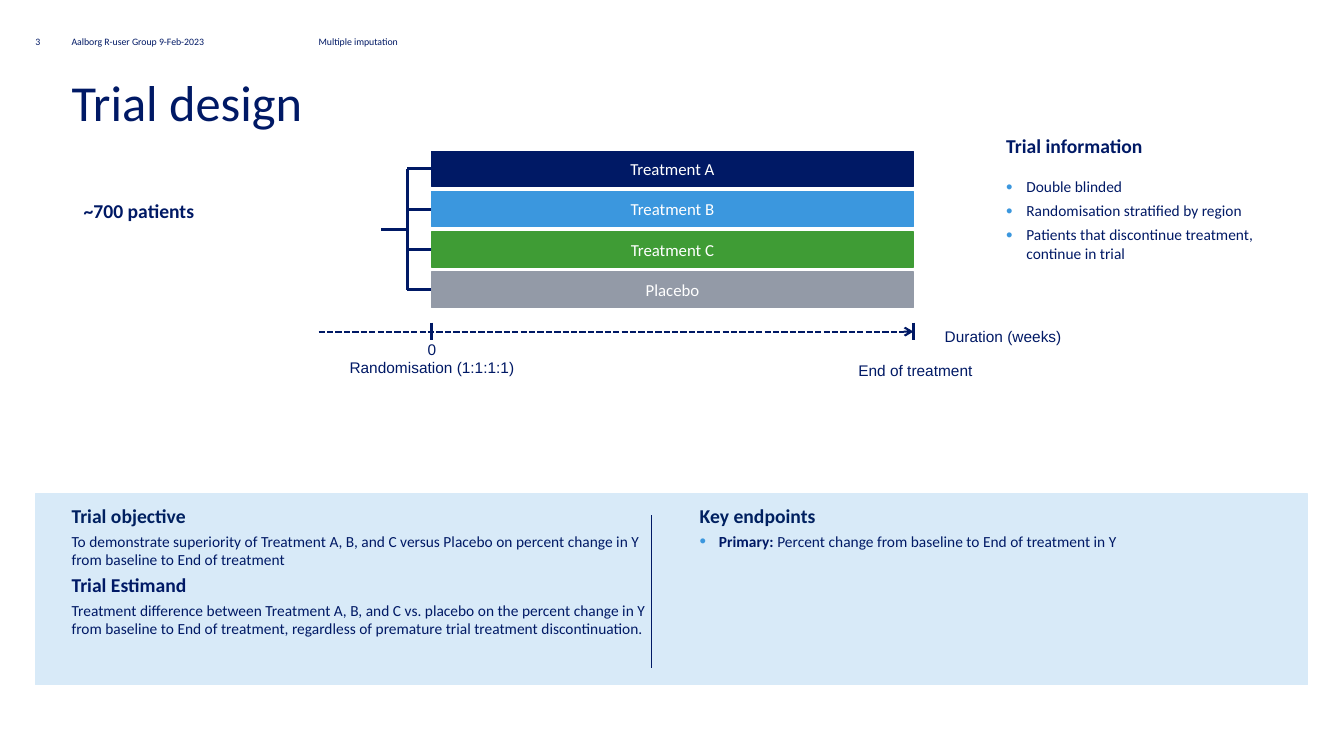
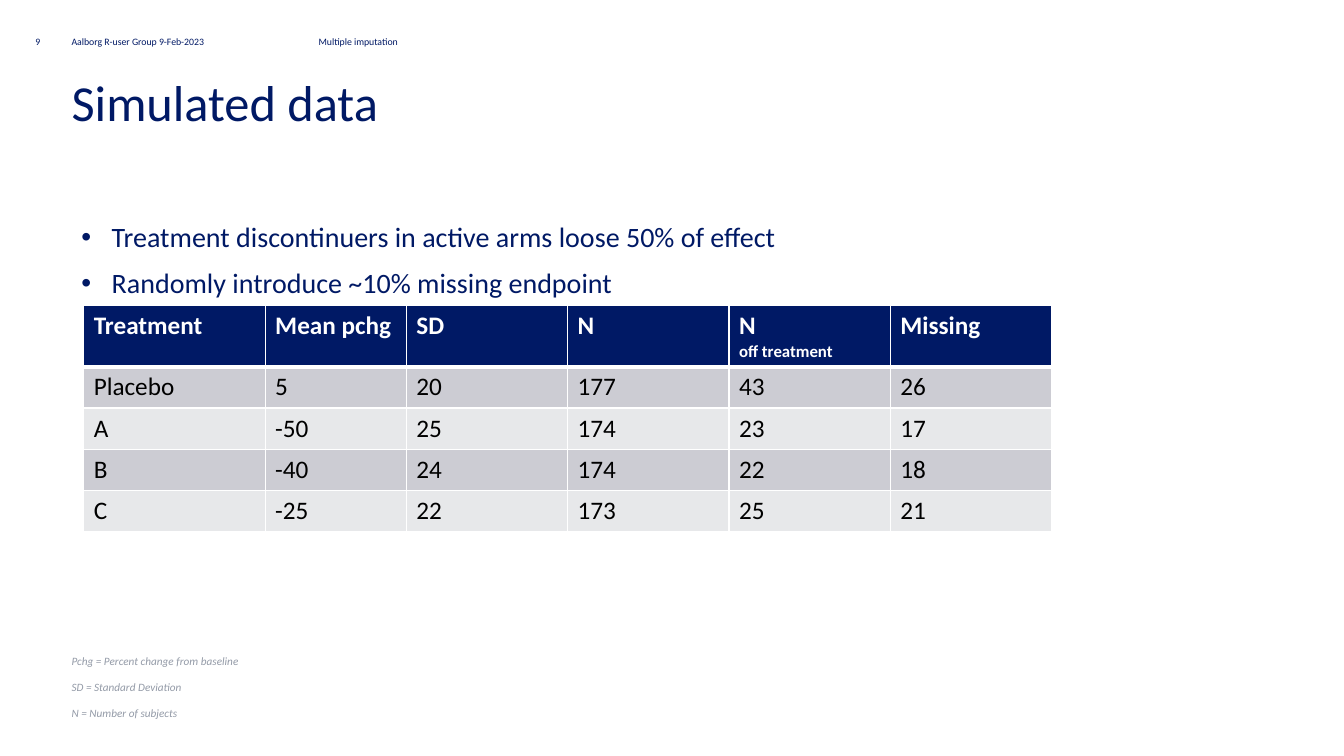
from dataclasses import dataclass

from pptx import Presentation
from pptx.dml.color import RGBColor
from pptx.enum.dml import MSO_LINE
from pptx.enum.shapes import MSO_CONNECTOR, MSO_SHAPE
from pptx.enum.text import MSO_ANCHOR, MSO_AUTO_SIZE, PP_ALIGN
from pptx.oxml.ns import qn
from pptx.util import Inches, Pt
from lxml import etree

LEFT, CENTER = PP_ALIGN.LEFT, PP_ALIGN.CENTER
TOP, MIDDLE, BOTTOM = MSO_ANCHOR.TOP, MSO_ANCHOR.MIDDLE, MSO_ANCHOR.BOTTOM
DASH = MSO_LINE.SQUARE_DOT
STRAIGHT = MSO_CONNECTOR.STRAIGHT
RECT = MSO_SHAPE.RECTANGLE
NO_FIT = MSO_AUTO_SIZE.NONE


@dataclass(frozen=True)
class Theme:
    """Colours, fonts and type sizes shared by the slides."""

    navy: str = "001965"
    heading: str = "002060"
    blue: str = "3B97DE"
    green: str = "3F9C35"
    grey: str = "939AA7"
    pale: str = "D8EAF8"
    white: str = "FFFFFF"
    black: str = "000000"
    band_dark: str = "CCCCD3"
    band_light: str = "E7E8EA"
    font: str = "Calibri"
    axis_font: str = "Arial"
    title: int = 36
    bullet: int = 20
    table: int = 18
    subhead: int = 14
    label: int = 12
    body: int = 11
    note: int = 8
    header: int = 7


T = Theme()


def rgb(color):
    """Turn a hex string into a colour."""
    return RGBColor.from_string(color)


def add_bullet(p, indent, color, percent):
    """Give a paragraph a hanging round bullet."""
    pPr = p._p.get_or_add_pPr()
    pPr.set("marL", str(Inches(indent)))
    pPr.set("indent", str(-Inches(indent)))
    clr = etree.SubElement(pPr, qn("a:buClr"))
    etree.SubElement(clr, qn("a:srgbClr"), val=color)
    etree.SubElement(pPr, qn("a:buSzPct"), val=str(percent * 1000))
    etree.SubElement(pPr, qn("a:buFont"), typeface="Arial")
    etree.SubElement(pPr, qn("a:buChar"), char="•")


def write(tf, text, *, size=T.body, color=T.navy, font=T.font, bold=False,
          italic=False, align=LEFT, before=0, after=0, spacing=None,
          indent=0, bullet_color=T.blue, bullet_size=120, lead=""):
    """Append one formatted paragraph, with an optional bold lead-in."""
    used = bool(tf.paragraphs[0].runs)
    p = tf.add_paragraph() if used else tf.paragraphs[0]
    if indent:
        add_bullet(p, indent, bullet_color, bullet_size)
    p.alignment = align
    p.space_before = Pt(before if used else 0)
    p.space_after = Pt(after)
    if spacing:
        p.line_spacing = spacing
    for part, is_bold in ((lead, True), (text, bold)):
        if part:
            r = p.add_run()
            r.text = part
            r.font.size, r.font.name = Pt(size), font
            r.font.bold, r.font.italic = is_bold, italic
            r.font.color.rgb = rgb(color)


def set_frame(tf, anchor=TOP, inset=(0, 0)):
    """Set wrapping, anchor and insets of a text frame."""
    tf.word_wrap, tf.auto_size, tf.vertical_anchor = True, NO_FIT, anchor
    tf.margin_left = tf.margin_right = Inches(inset[0])
    tf.margin_top = tf.margin_bottom = Inches(inset[1])


def add_text(s, box, text=None, anchor=TOP, inset=(0, 0), **fmt):
    """Add a text box and return its frame."""
    tf = s.shapes.add_textbox(*map(Inches, box)).text_frame
    set_frame(tf, anchor, inset)
    if text:
        write(tf, text, **fmt)
    return tf


def add_bar(s, box, color, text=None):
    """Add a flat rectangle with an optional centred label."""
    sp = s.shapes.add_shape(RECT, *map(Inches, box))
    sp.shadow.inherit = False
    sp.fill.solid()
    sp.fill.fore_color.rgb = sp.line.color.rgb = rgb(color)
    sp.line.width = Pt(1)
    set_frame(sp.text_frame, MIDDLE, (0.08, 0.04))
    if text:
        write(sp.text_frame, text, size=T.label, color=T.white, align=CENTER)


def add_line(s, x1, y1, x2, y2, width, dash=None, arrow=False):
    """Add a straight line, dashed or with an arrowhead if asked."""
    line = s.shapes.add_connector(STRAIGHT, *map(Inches, (x1, y1, x2, y2)))
    line.line.color.rgb = rgb(T.navy)
    line.line.width = Pt(width)
    if dash:
        line.line.dash_style = dash
    if arrow:
        ln = line.line._get_or_add_ln()
        etree.SubElement(ln, qn("a:tailEnd"), type="arrow")
    etree.SubElement(line._element.spPr, qn("a:effectLst"))


def add_slide(prs, title, number):
    """Add a slide with its title and running header."""
    s = prs.slides.add_slide(prs.slide_layouts[5])
    sp = s.shapes.title
    sp.left, sp.top, sp.width, sp.height = map(Inches, (0.71, 0.71, 11.92, 1.42))
    set_frame(sp.text_frame)
    write(sp.text_frame, title, size=T.title)
    for x, width, text in ((0.35, 0.35, number),
                           (0.71, 2.1, "Aalborg R-user Group 9-Feb-2023"),
                           (3.16, 4.55, "Multiple imputation")):
        add_text(s, (x, 0.35, width, 0.14), text, size=T.header)
    return s


def add_arms(s):
    """Draw the treatment arms and the randomisation bracket."""
    left, top, pitch, height, stem = 4.28, 1.5, 0.4, 0.35, 4.04
    arms = (("Treatment A", T.navy), ("Treatment B", T.blue),
            ("Treatment C", T.green), ("Placebo", T.grey))
    centers = [top + i * pitch + height / 2 for i in range(len(arms))]
    for y, (name, color) in zip(centers, arms):
        add_line(s, stem, y, left, y, 2.25)
        add_bar(s, (left, y - height / 2, 4.78, height), color, name)
    middle = (centers[0] + centers[-1]) / 2
    add_line(s, stem, centers[0], stem, centers[-1], 2.25)
    add_line(s, 3.78, middle, stem, middle, 2.25)


def add_timeline(s):
    """Draw the time axis with its ticks and labels."""
    axis = {"font": T.axis_font}
    add_line(s, 3.16, 3.29, 9.06, 3.29, 1.5, dash=DASH, arrow=True)
    for x in (4.28, 9.06):
        add_line(s, x, 3.2, x, 3.37, 1.5)
    tf = add_text(s, (2.96, 3.37, 2.65, 0.37), "0", align=CENTER, **axis)
    write(tf, "Randomisation (1:1:1:1)", align=CENTER, **axis)
    add_text(s, (8.34, 3.58, 1.48, 0.18), "End of treatment", align=CENTER, **axis)
    add_text(s, (9.37, 3.21, 2.28, 0.21), "Duration (weeks)", spacing=1.2, **axis)


def add_trial_slide(prs):
    """Build the trial design slide."""
    s = add_slide(prs, "Trial design", "3")
    head = {"size": T.subhead, "bold": True}
    add_arms(s)
    add_timeline(s)
    add_text(s, (0.83, 1.93, 1.35, 0.26), "~700 patients", spacing=1.2, **head)
    add_text(s, (9.98, 1.28, 2.66, 0.26), "Trial information", spacing=1.2, **head)
    tf = add_text(s, (9.98, 1.76, 2.76, 0.89))
    for text in ("Double blinded", "Randomisation stratified by region",
                 "Patients that discontinue treatment, continue in trial"):
        write(tf, text, before=4, indent=0.2)

    add_bar(s, (0.35, 4.9, 12.62, 1.89), T.pale)
    add_line(s, 6.46, 5.11, 6.46, 6.63, 0.5)
    tf = add_text(s, (0.71, 5, 5.75, 1.7), "Trial objective", color=T.heading, **head)
    write(tf, "To demonstrate superiority of Treatment A, B, and C versus Placebo "
          "on percent change in Y from baseline to End of treatment", before=3)
    write(tf, "Trial Estimand", before=3, **head)
    write(tf, "Treatment difference between Treatment A, B, and C vs. placebo on the "
          "percent change in Y from baseline to End of treatment, regardless of "
          "premature trial treatment discontinuation.", before=3)
    tf = add_text(s, (6.94, 5, 5.68, 1.07), "Key endpoints", color=T.heading, **head)
    write(tf, "Percent change from baseline to End of treatment in Y",
          lead="Primary: ", before=3, indent=0.19)


def add_borders(cell, **widths):
    """Draw white cell borders, one width for each side."""
    tcPr = cell._tc.get_or_add_tcPr()
    for side in "LRTB":
        ln = etree.SubElement(tcPr, qn(f"a:ln{side}"), w=str(Pt(widths.get(side, 1))))
        fill = etree.SubElement(ln, qn("a:solidFill"))
        etree.SubElement(fill, qn("a:srgbClr"), val=T.white)


def add_data_table(s, left, top, widths, heights, rows):
    """Add a table with a dark header row and banded body rows."""
    table = s.shapes.add_table(len(rows), len(widths), Inches(left), Inches(top),
                               Inches(sum(widths)), Inches(sum(heights))).table
    table.horz_banding = False
    for column, width in zip(table.columns, widths):
        column.width = Inches(width)
    for i, values in enumerate(rows):
        table.rows[i].height = Inches(heights[i])
        band = T.band_dark if i % 2 else T.band_light
        for cell, value in zip(table.rows[i].cells, values):
            add_borders(cell, **{0: {"B": 3}, 1: {"T": 3}}.get(i, {}))
            cell.fill.solid()
            cell.fill.fore_color.rgb = rgb(band if i else T.navy)
            for j, text in enumerate(value.split("\n")):
                write(cell.text_frame, text, size=T.label if j else T.table,
                      color=T.black if i else T.white, bold=i == 0)


def add_data_slide(prs):
    """Build the simulated data slide."""
    s = add_slide(prs, "Simulated data", "9")
    tf = add_text(s, (0.71, 2.13, 11.92, 0.9), inset=(0.1, 0.05))
    for text in ("Treatment discontinuers in active arms loose 50% of effect",
                 "Randomly introduce ~10% missing endpoint"):
        write(tf, text, size=T.bullet, before=3, after=6, indent=0.3,
              bullet_color=T.navy, bullet_size=100)
    rows = (("Treatment", "Mean pchg", "SD", "N", "N\noff treatment", "Missing"),
            ("Placebo", "5", "20", "177", "43", "26"),
            ("A", "-50", "25", "174", "23", "17"),
            ("B", "-40", "24", "174", "22", "18"),
            ("C", "-25", "22", "173", "25", "21"))
    add_data_table(s, 0.83, 3.03, (1.8, 1.4) + (1.6,) * 4, (0.6,) + (0.41,) * 4, rows)
    tf = add_text(s, (0.71, 6.79, 9.46, 0.35), anchor=BOTTOM)
    for text in ("Pchg = Percent change from baseline", "SD = Standard Deviation",
                 "N = Number of subjects"):
        write(tf, text, size=T.note, color=T.grey, italic=True, before=3, after=6)


def main():
    """Build and save the presentation."""
    prs = Presentation()
    prs.slide_width, prs.slide_height = Inches(13.33), Inches(7.5)
    add_trial_slide(prs)
    add_data_slide(prs)
    prs.save("out.pptx")


if __name__ == "__main__":
    main()
